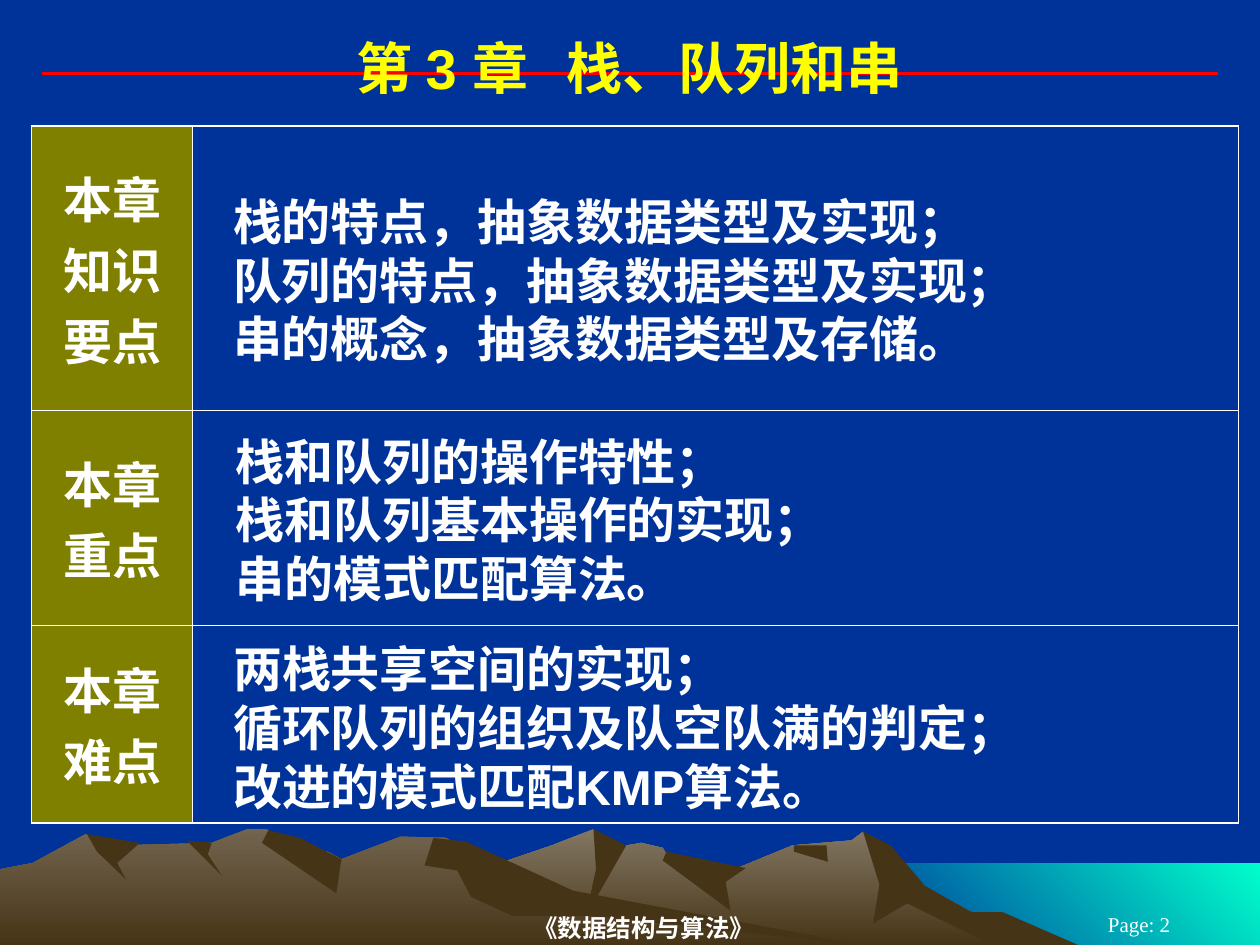
from lxml import etree
from pptx import Presentation
from pptx.dml.color import RGBColor
from pptx.enum import shapes, text
from pptx.oxml import ns
from pptx.util import Pt

COLORS = {"back": "003399", "sea": "00FFCC", "rock": "837763", "front_rock": "72644E",
          "shade": "463416", "rule": "FF0000", "label": "808000",
          "white": "FFFFFF", "title": "FFFF00"}

TITLE = "第 3 章   栈、队列和串"
FOOTER = "《数据结构与算法》"
PAGE_NUMBER = "Page: 2"

# Table rows: label lines, row height
ROWS = [(["本章", "知识", "要点"], 162.72),
        (["本章", "重点"], 122.4),
        (["本章", "难点"], 113.04)]
COLUMNS = [92.16, 597.6]

# Text laid over the right column: left, top, width, lines
BODIES = [
    (131.76, 105.12, 563.76, ["栈的特点，抽象数据类型及实现；",
                              "队列的特点，抽象数据类型及实现；",
                              "串的概念，抽象数据类型及存储。"]),
    (133.2, 241.92, 544.32, ["栈和队列的操作特性；",
                             "栈和队列基本操作的实现；",
                             "串的模式匹配算法。"]),
    (131.76, 360.72, 558, ["两栈共享空间的实现；",
                           "循环队列的组织及队空队满的判定；",
                           "改进的模式匹配KMP算法。"]),
]

# Scenery outlines on a grid of 0.72 pt: fill colours, gradient angle, corners
GRID = 0.72
SCENERY = [
    (["sea", "back"], 225, [(683, 685), (1000, 685), (1000, 752), (683, 752)]),
    # Back mountain and its shadows
    (["rock", "shade"], 270, [
        (821, 751), (723, 698), (685, 660), (676, 667), (629, 671), (566, 697), (536, 690),
        (526, 673), (509, 669), (486, 673), (471, 658), (438, 671), (327, 709), (258, 751)]),
    (["shade"], 0, [
        (685, 660), (707, 671), (734, 703), (771, 724), (796, 724), (858, 751), (792, 752),
        (720, 717), (693, 733), (698, 702)]),
    (["shade"], 0, [(471, 658), (497, 671), (465, 727), (473, 690)]),
    (["shade"], 0, [(529, 676), (592, 689), (576, 700), (580, 723), (526, 683)]),
    (["shade"], 0, [(630, 671), (656, 671), (657, 684), (630, 676)]),
    # Front mountain and its shadows
    (["front_rock", "shade"], 270, [
        (690, 751), (432, 712), (354, 665), (318, 664), (271, 682), (260, 676), (236, 681),
        (212, 658), (196, 658), (168, 669), (94, 671), (68, 662), (26, 685), (0, 690),
        (0, 751)]),
    (["shade"], 0, [(213, 659), (238, 665), (271, 682), (267, 709), (208, 669)]),
    (["shade"], 0, [
        (344, 665), (370, 668), (455, 707), (690, 751), (472, 727), (407, 727), (374, 712),
        (363, 691), (337, 687)]),
    (["shade"], 0, [(148, 667), (168, 669), (165, 678), (176, 695)]),
    (["shade"], 0, [(69, 662), (111, 669), (93, 685), (100, 698), (77, 676)]),
]


def rgb(name):
    return RGBColor.from_string(COLORS[name])


def write(frame, lines, size=28, color="white", font="Arial", bold=True, center=False,
          middle=False, spacing=None, margins=(1.44, 0.72, 1.44, 0.72)):
    """Fill a text frame, one paragraph a line; margins are left, top, right, bottom."""
    frame.word_wrap = True
    frame.auto_size = text.MSO_AUTO_SIZE.NONE
    frame.vertical_anchor = text.MSO_ANCHOR.MIDDLE if middle else text.MSO_ANCHOR.TOP
    (frame.margin_left, frame.margin_top,
     frame.margin_right, frame.margin_bottom) = map(Pt, margins)
    for index, line in enumerate(lines):
        para = frame.add_paragraph() if index else frame.paragraphs[0]
        para.alignment = text.PP_ALIGN.CENTER if center else text.PP_ALIGN.LEFT
        if spacing:
            para.line_spacing = Pt(spacing)
        span = para.add_run()
        span.text = line
        span.font.size, span.font.name, span.font.bold = Pt(size), font, bold
        span.font.color.rgb = rgb(color)


def add_text(page, place, lines, **style):
    box = page.shapes.add_textbox(*map(Pt, place))
    write(box.text_frame, lines, **style)


def add_outline(page, colors, angle, corners):
    builder = page.shapes.build_freeform(*corners[0], scale=Pt(GRID))
    builder.add_line_segments(corners[1:], close=True)
    shape = builder.convert_to_shape()
    shape.shadow.inherit = False
    shape.line.fill.background()
    if len(colors) == 1:
        shape.fill.solid()
        shape.fill.fore_color.rgb = rgb(colors[0])
        return
    shape.fill.gradient()
    shape.fill.gradient_angle = angle
    for stop, name, position in zip(shape.fill.gradient_stops, colors, (0, 1)):
        stop.color.rgb = rgb(name)
        stop.position = position


def set_borders(cell, widths):
    """Give the cell white borders, listed left, right, top, bottom."""
    props = cell._tc.get_or_add_tcPr()
    for index, (side, width) in enumerate(zip("LRTB", widths)):
        line = etree.Element(ns.qn(f"a:ln{side}"), w=str(Pt(width)))
        fill = etree.SubElement(line, ns.qn("a:solidFill"))
        etree.SubElement(fill, ns.qn("a:srgbClr"), val=COLORS["white"])
        props.insert(index, line)


def add_summary_table(page, outer=1.08, inner=0.45):
    total = sum(height for _, height in ROWS)
    table = page.shapes.add_table(len(ROWS), len(COLUMNS), Pt(18), Pt(72),
                                  Pt(sum(COLUMNS)), Pt(total)).table
    table.first_row = table.horz_banding = False
    for column, width in zip(table.columns, COLUMNS):
        column.width = Pt(width)
    for row, (lines, height) in enumerate(ROWS):
        table.rows[row].height = Pt(height)
        label, blank = table.cell(row, 0), table.cell(row, 1)
        label.fill.solid()
        label.fill.fore_color.rgb = rgb("label")
        write(label.text_frame, lines, center=True)
        label.vertical_anchor = text.MSO_ANCHOR.MIDDLE
        blank.fill.background()
        top = inner if row else outer
        bottom = outer if row == len(ROWS) - 1 else inner
        set_borders(label, (outer, inner, top, bottom))
        set_borders(blank, (inner, outer, top, bottom))


def main():
    deck = Presentation()
    deck.slide_width, deck.slide_height = Pt(720), Pt(540)
    page = deck.slides.add_slide(deck.slide_layouts[5])
    page.background.fill.solid()
    page.background.fill.fore_color.rgb = rgb("back")

    # Scenery and title rule
    for colors, angle, corners in SCENERY:
        add_outline(page, colors, angle, corners)
    rule = page.shapes.add_connector(shapes.MSO_CONNECTOR.STRAIGHT,
                                     Pt(24), Pt(42), Pt(696), Pt(42))
    rule.line.color.rgb, rule.line.width = rgb("rule"), Pt(2.25)
    etree.SubElement(rule.element.spPr, ns.qn("a:effectLst"))

    # Footer
    footer = {"font": "Times New Roman", "center": True, "middle": True}
    add_text(page, (149.76, 519.84, 436.32, 20.16), [FOOTER], size=14, **footer)
    add_text(page, (594, 522, 113.76, 12.24), [PAGE_NUMBER], size=12, bold=False, **footer)

    # Table and the text over it
    add_summary_table(page)
    for left, top, width, lines in BODIES:
        add_text(page, (left, top, width, 102.24), lines, spacing=33.5,
                 margins=(1.44, 4.5, 1.44, 0.72))

    # Title, in front of the rule
    title = page.shapes.title
    title.left, title.top, title.width, title.height = map(Pt, (0, 15.12, 720, 40.32))
    write(title.text_frame, [TITLE], size=32, color="title", center=True, spacing=38.5,
          margins=(1.44, 4, 1.44, 0.72))
    title.element.getparent().append(title.element)

    deck.save("out.pptx")


if __name__ == "__main__":
    main()
